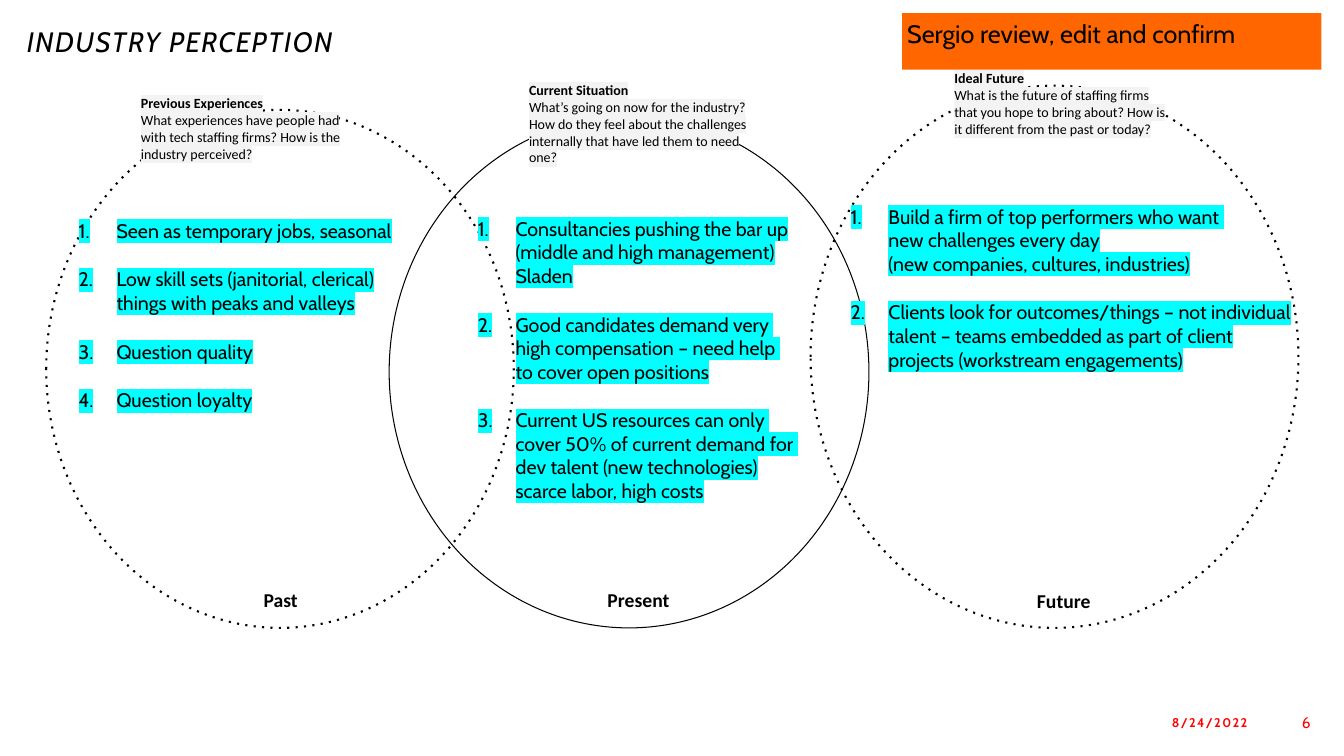
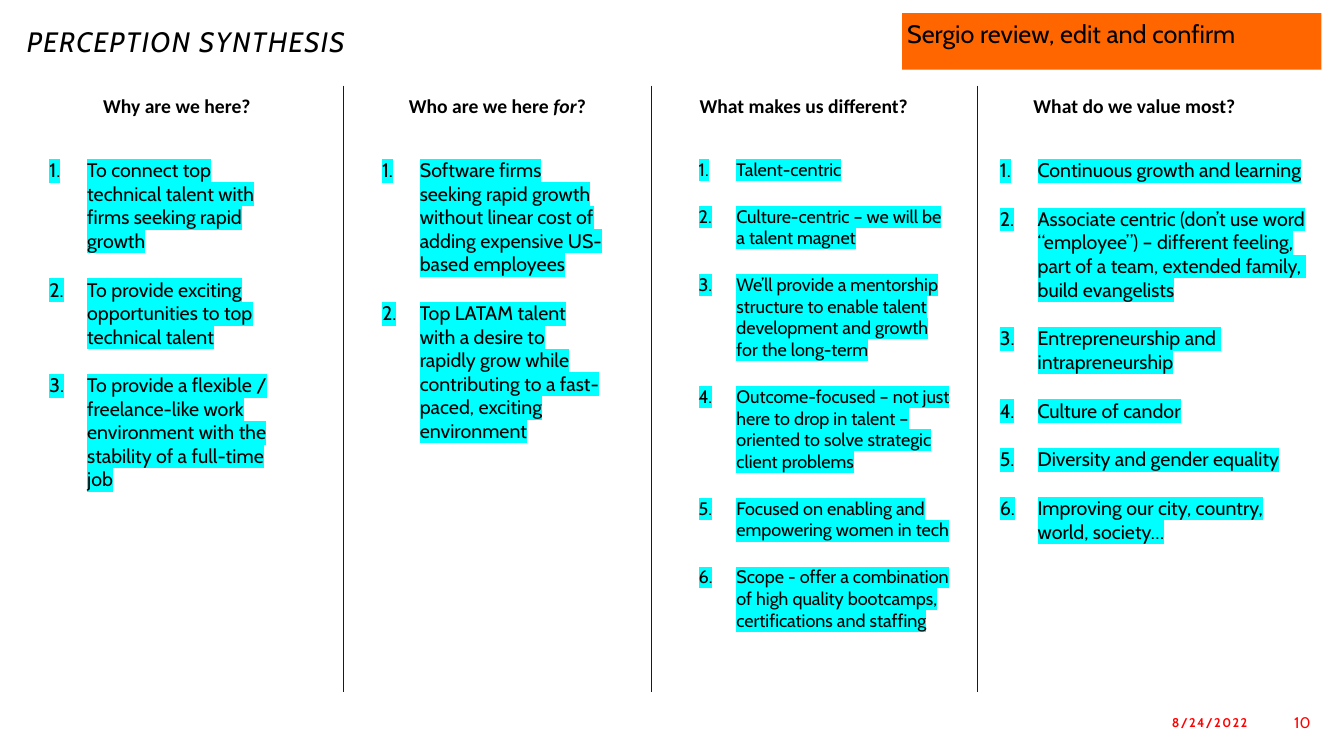
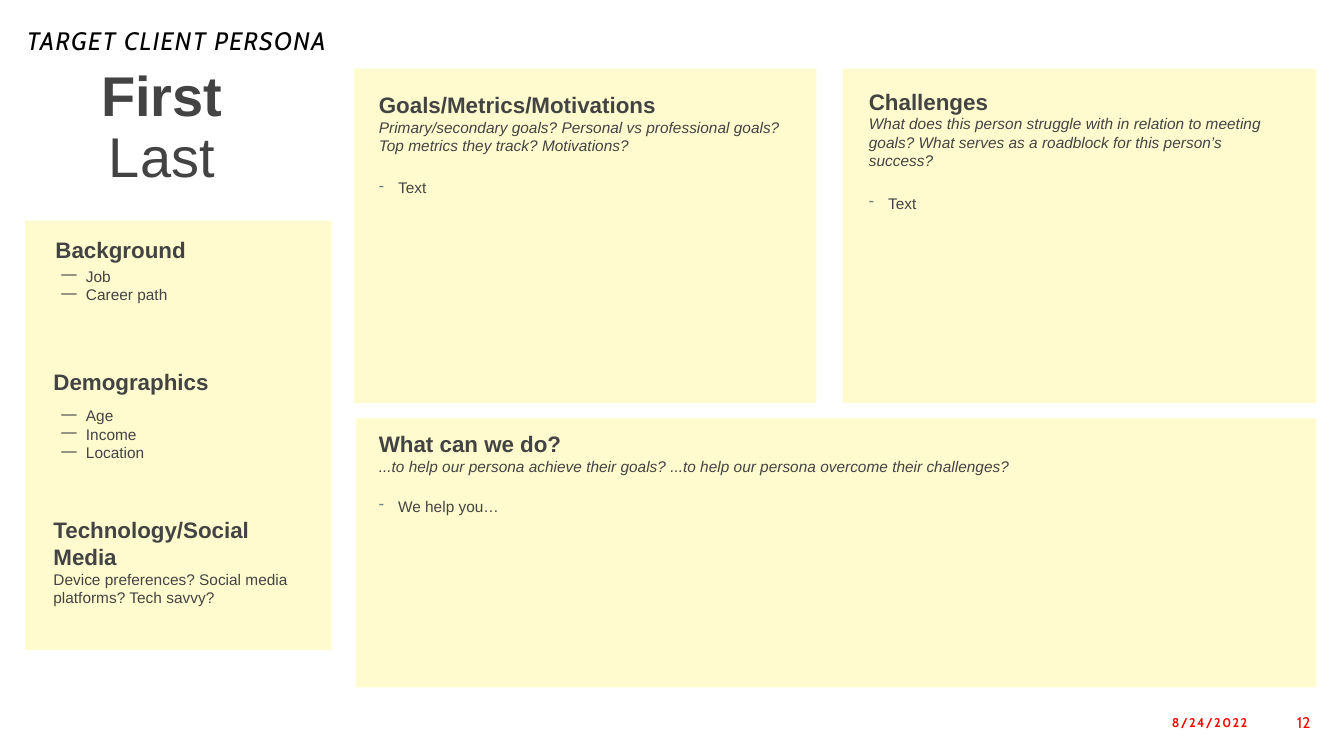
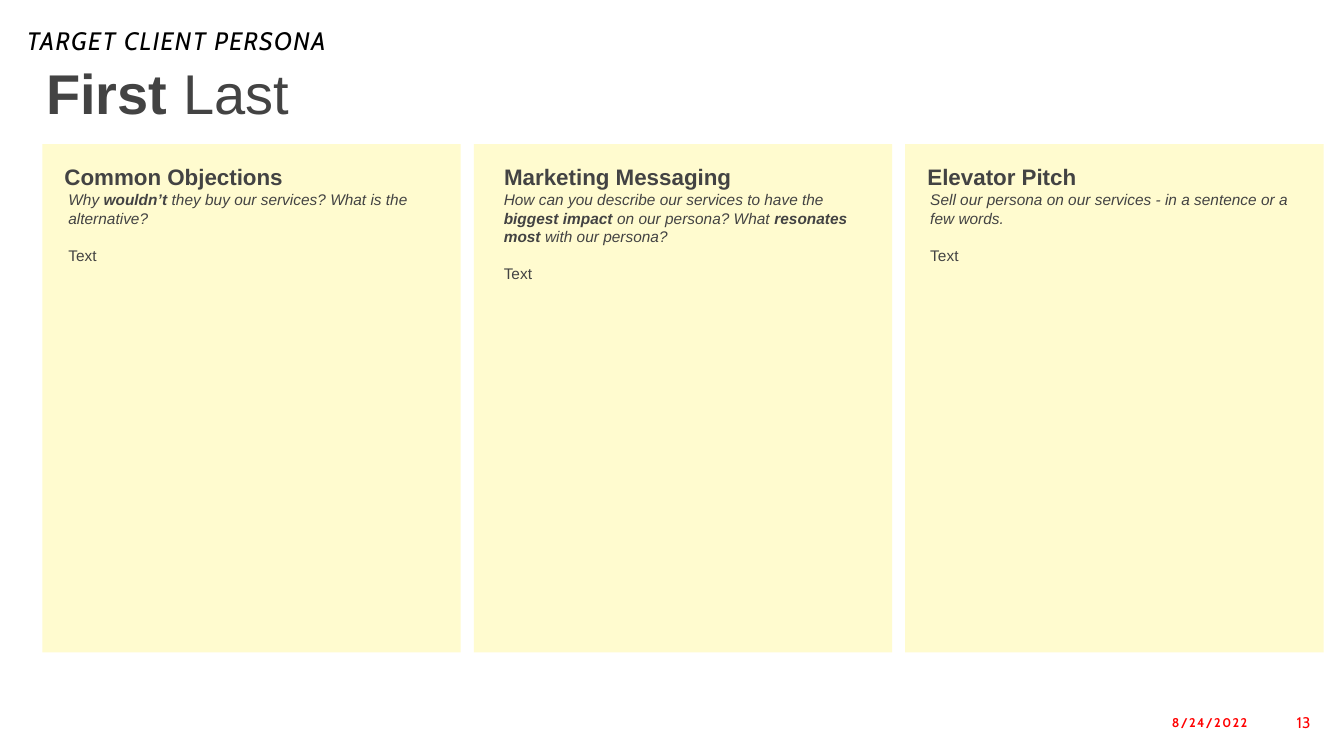
from copy import deepcopy
from lxml.etree import SubElement
from pptx import Presentation
from pptx.dml.color import RGBColor
from pptx.enum.dml import MSO_LINE
from pptx.enum.shapes import MSO_CONNECTOR as LINK, MSO_SHAPE as SHAPE
from pptx.enum.text import MSO_ANCHOR as ANCHOR, PP_ALIGN as ALIGN
from pptx.oxml.ns import qn
from pptx.util import Pt

BLACK, RED, ORANGE, CYAN = "000000", "FF0000", "FF6600", "00FFFF"
CREAM, GRAY, PALE, STEEL, INK = "FFFBCF", "434343", "F3F3F3", "6C808B", "1A1A1A"
DATE = "8/24/2022"
REVIEW = "Sergio review, edit and confirm"

# Formats shared by several texts
LIST = dict(size=14, bullet="1.", hang=27, mark=CYAN)
LABEL = dict(font="Calibri", size=14, style="b", align=ALIGN.CENTER, lead=1.15)
NAME = dict(font="Arial", size=40, color=GRAY, lead=0.9)
HEAD = dict(font="Arial", size=16, color=GRAY, style="b")
BODY = dict(font="Arial", size=11, color=GRAY)
DASH = dict(BODY, bullet="—", hang=17.6, tint=GRAY)
HYPHEN = dict(BODY, bullet="-", hang=13.7, tint=STEEL, lead=1.15)

BASE = 448.5  # common bottom of the circles
STAGES = [
    dict(ring=(33, 78.5, 334), dotted=True, note=(93.6, 60.5),
         label=(118.8, 410.4), list=(52.6, 152.6, 265, 235), name="Past",
         head="Previous Experiences",
         ask="What experiences have people had with tech staffing firms? "
             "How is the industry perceived?",
         items=["Seen as temporary jobs, seasonal",
                "Low skill sets (janitorial, clerical)\nthings with peaks and valleys",
                "Question quality",
                "Question loyalty"]),
    dict(ring=(579, 61.2, 348.5), dotted=True, note=(674.6, 42.5),
         label=(678.2, 411.1), list=(604, 142.6, 326, 210), name="Future",
         head="Ideal Future",
         ask="What is the future of staffing firms that you hope to bring about? "
             "How is it different from the past or today?",
         items=["Build a firm of top performers who want \nnew challenges every day\n"
                "(new companies, cultures, industries)",
                "Clients look for outcomes/things – not individual\n"
                "talent – teams embedded as part of client\n"
                "projects (workstream engagements)"]),
    dict(ring=(278, 82.8, 342.7), dotted=False, note=(370.8, 51.1),
         label=(374.4, 410.4), list=(337.7, 151.2, 242, 271), name="Present",
         head="Current Situation",
         ask="What’s going on now for the industry? How do they feel about the "
             "challenges internally that have led them to need one?",
         items=["Consultancies pushing the bar up\n(middle and high management)\nSladen",
                "Good candidates demand very \nhigh compensation – need help \n"
                "to cover open positions",
                "Current US resources can only \ncover 50% of current demand for \n"
                "dev talent (new technologies)\nscarce labor, high costs"]),
]

RULES = [245.5, 465.1, 698.4]
COLUMNS = [  # heading left, heading, list left, list width, size, items
    (31.7, "Why are we here?", 31.7, 165.6, 14, [
        "To connect top technical talent with firms seeking rapid growth",
        "To provide exciting opportunities to top technical talent",
        "To provide a flexible / freelance-like work environment with the "
        "stability of a full-time job"]),
    (260.6, [("Who are we here ", "b"), ("for", "bi"), ("?", "b")], 269.3, 165.6, 14, [
        "Software firms seeking rapid growth without linear cost of adding "
        "expensive US-based employees",
        "Top LATAM talent with a desire to rapidly grow while contributing to a "
        "fast-paced, exciting environment"]),
    (479.5, "What makes us different?", 495.4, 186.5, 12.9, [
        "Talent-centric",
        "Culture-centric – we will be a talent magnet",
        "We’ll provide a mentorship structure to enable talent development and "
        "growth for the long-term",
        "Outcome-focused – not just here to drop in talent – oriented to solve "
        "strategic client problems",
        "Focused on enabling and empowering women in tech",
        "Scope - offer a combination of high quality bootcamps, certifications "
        "and staffing"]),
    (715.7, "What do we value most?", 710.6, 233.3, 14, [
        "Continuous growth and learning",
        "Associate centric (don’t use word\n“employee”) – different feeling,\n"
        "part of a team, extended family, \nbuild evangelists",
        "Entrepreneurship and \nintrapreneurship",
        "Culture of candor",
        "Diversity and gender equality",
        "Improving our city, country,\nworld, society…"]),
]

FACTS = [  # heading box, heading, list box, items
    ((31, 157, 163, 37.4), "Background", (36.7, 187.2, 185, 92), ["Job", "Career path"]),
    ((29.5, 251.3, 179, 21.6), "Demographics", (36.7, 286.6, 173, 51),
     ["Age", "Income", "Location"]),
]
TECH = ("Technology/Social Media", "Device preferences? Social media platforms? Tech savvy?")
PANELS = [  # panel, text box, heading, question, gap, answer
    ((252.7, 49, 330.5, 239), (262, 56.2, 306, 224), "Goals/Metrics/Motivations",
     "Primary/secondary goals? Personal vs professional goals? "
     "Top metrics they track? Motivations?", 15, "Text"),
    ((254.2, 298.8, 686.2, 192.2), (262, 298.8, 666.7, 193), "What can we do?",
     "...to help our persona achieve their goals? "
     "...to help our persona overcome their challenges?", 13, "We help you…"),
    ((602, 49, 338.4, 239), (612, 54, 311, 225), "Challenges",
     "What does this person struggle with in relation to meeting goals? "
     "What serves as a roadblock for this person’s success?", 15, "Text"),
]

PITCHES = [  # heading left, body left, body width, heading, question
    (37.4, 41.8, 266.4, "Common Objections",
     [("Why ", "i"), ("wouldn’t", "bi"),
      (" they buy our services? What is the alternative?", "i")]),
    (351.4, 352.8, 269.3, "Marketing Messaging",
     [("How can you describe our services to have the ", "i"), ("biggest impact ", "bi"),
      ("on our persona? What ", "i"), ("resonates most ", "bi"),
      ("with our persona?", "i")]),
    (653.8, 657.4, 276.5, "Elevator Pitch",
     [("Sell our persona on our services - in a sentence or a few words.", "i")]),
]


def rgb(code):
    return RGBColor.from_string(code)


def child(parent, tag, **attrs):
    return SubElement(parent, qn(tag), attrs)


def setup(frame, pad, anchor=ANCHOR.TOP):
    """Set wrapping, anchor and (side, top) insets of a text frame."""
    frame.word_wrap = True
    frame.vertical_anchor = anchor
    frame.margin_left = frame.margin_right = Pt(pad[0])
    frame.margin_top = frame.margin_bottom = Pt(pad[1])
    return frame


def area(slide, box, pad=(7.2, 3.6), anchor=ANCHOR.TOP):
    return setup(slide.shapes.add_textbox(*map(Pt, box)).text_frame, pad, anchor)


def put(frame, text, font="Cabin", size=11, color=BLACK, style="", align=ALIGN.LEFT,
        lead=None, before=0, after=0, bullet=None, hang=0, tint=None, mark=None, track=0):
    """Append a paragraph; text is a string or (text, style) runs, style holds b and i."""
    para = frame.paragraphs[0]
    if para.runs:
        para = frame.add_paragraph()
        if before:
            para.space_before = Pt(before)
    para.alignment = align
    if lead:
        para.line_spacing = lead
    if after:
        para.space_after = Pt(after)
    if bullet:
        props = para._p.get_or_add_pPr()
        props.set("marL", str(Pt(hang)))
        props.set("indent", str(-Pt(hang)))
        if tint:
            child(child(props, "a:buClr"), "a:srgbClr", val=tint)
        if bullet == "1.":
            child(props, "a:buAutoNum", type="arabicPeriod")
        else:
            child(props, "a:buChar", char=bullet)
    for words, look in [(text, style)] if isinstance(text, str) else text:
        for n, line in enumerate(words.split("\n")):
            if n:
                para.add_line_break()
                para._p[-1].append(deepcopy(run._r.rPr))
            run = para.add_run()
            run.text = line
            face = run.font
            face.size, face.bold, face.italic = Pt(size), "b" in look, "i" in look
            face.color.rgb = rgb(color)
            props = run._r.get_or_add_rPr()
            if mark:
                child(child(props, "a:highlight"), "a:srgbClr", val=mark)
            if track:
                props.set("spc", str(track * 100))
            face.name = font


def block(slide, box, fill=None, kind=SHAPE.RECTANGLE):
    shape = slide.shapes.add_shape(kind, *map(Pt, box))
    shape.shadow.inherit = False
    if fill:
        shape.fill.solid()
        shape.fill.fore_color.rgb = rgb(fill)
    else:
        shape.fill.background()
    shape.line.fill.background()
    return shape


def ring(slide, left, top, width, dotted):
    line = block(slide, (left, top, width, BASE - top), kind=SHAPE.OVAL).line
    line.color.rgb = rgb(BLACK)
    line.width = Pt(1.5 if dotted else 0.75)
    if dotted:
        line.dash_style = MSO_LINE.ROUND_DOT
        line._ln.find(qn("a:prstDash")).set("val", "dot")


def rule(slide, x, top, end):
    line = slide.shapes.add_connector(LINK.STRAIGHT, Pt(x), Pt(top), Pt(x), Pt(end))
    line.line.color.rgb = rgb(INK)
    line.line.width = Pt(0.75)
    child(line._element.spPr, "a:effectLst")


def numbers(slide, box, items, size=14):
    frame = area(slide, box, (3.6, 3.6))
    for item in items:
        put(frame, item, before=18, **dict(LIST, size=size))


def start(deck, title, page, size=20):
    slide = deck.slides.add_slide(deck.slide_layouts[6])
    put(area(slide, (12.2, 18.7, 936, 21.6)), title, size=size, style="i", lead=0.8, track=1)
    for left, width, text, form in [(728, 170, DATE, dict(size=9, style="b", track=1)),
                                    (905, 38.2, page, {})]:
        frame = area(slide, (left, 505.4, width, 21.6), anchor=ANCHOR.MIDDLE)
        put(frame, text, color=RED, align=ALIGN.RIGHT, **form)
    return slide


def review(slide):
    flag = block(slide, (644.4, 9.4, 299.5, 40.3), ORANGE)
    put(setup(flag.text_frame, (3.6, 3.6)), REVIEW, size=18)


def industry(deck):
    slide = start(deck, "INDUSTRY PERCEPTION", "6")
    for stage in STAGES:
        ring(slide, *stage["ring"], stage["dotted"])
    for stage in STAGES:
        note = area(slide, (*stage["note"], 171.4, 75), (7.2, 7.2))
        for text, style in [(stage["head"], "b"), (stage["ask"], "")]:
            put(note, text, font="Calibri", size=10, style=style, mark=PALE)
        label = area(slide, (*stage["label"], 163.4, 50.4), (7.2, 7.2))
        put(label, stage["name"], after=16, **LABEL)
        numbers(slide, stage["list"], stage["items"])
    review(slide)


def synthesis(deck):
    slide = start(deck, "PERCEPTION SYNTHESIS", "10")
    for x in RULES:
        rule(slide, x, 61.2, 494)
    for left, head, x, width, size, items in COLUMNS:
        put(area(slide, (left, 57.6, 189.4, 40.3), (7.2, 7.2)), head, after=16, **LABEL)
        numbers(slide, (x, 109.4, width, 378), items, size)
    review(slide)


def persona(deck):
    slide = start(deck, "TARGET CLIENT PERSONA", "12", 18)
    pad = (8.64, 8.64)
    block(slide, (18, 157.7, 219, 306.7), CREAM)
    name = area(slide, (13, 41.8, 205.2, 101.5), (7.2, 7.2))
    put(name, "First", style="b", align=ALIGN.CENTER, **NAME)
    put(name, "Last", align=ALIGN.CENTER, **NAME)
    for top, head, box, items in FACTS:
        put(area(slide, top, pad), head, lead=1.15, **HEAD)
        frame = area(slide, box)
        for item in items:
            put(frame, item, **DASH)
    tech = area(slide, (29.5, 360, 188.6, 92.2), pad)
    put(tech, TECH[0], **HEAD)
    put(tech, TECH[1], **BODY)
    for panel, box, head, ask, gap, reply in PANELS:
        block(slide, panel, CREAM)
        frame = area(slide, box, pad)
        put(frame, head, **HEAD)
        put(frame, ask, style="i", **BODY)
        put(frame, reply, before=gap, **HYPHEN)


def pitch(deck):
    slide = start(deck, "TARGET CLIENT PERSONA", "13", 18)
    name = area(slide, (26, 40.3, 320.4, 58.3), (7.2, 7.2))
    put(name, [("First ", "b"), ("Last", "")], **NAME)
    for n, (left, x, width, head, ask) in enumerate(PITCHES):
        block(slide, (30.2 + n * 308.2, 103, 298.8, 363), CREAM)
        put(area(slide, (left, 105, 242, 37.4), (8.64, 8.64)), head, lead=1.15, **HEAD)
        frame = area(slide, (x, 132.5, width, 319))
        put(frame, ask, **BODY)
        put(frame, "Text", before=13, **BODY)


def main():
    deck = Presentation()
    deck.slide_width, deck.slide_height = Pt(960), Pt(540)
    for build in (industry, synthesis, persona, pitch):
        build(deck)
    deck.save("out.pptx")


if __name__ == "__main__":
    main()
